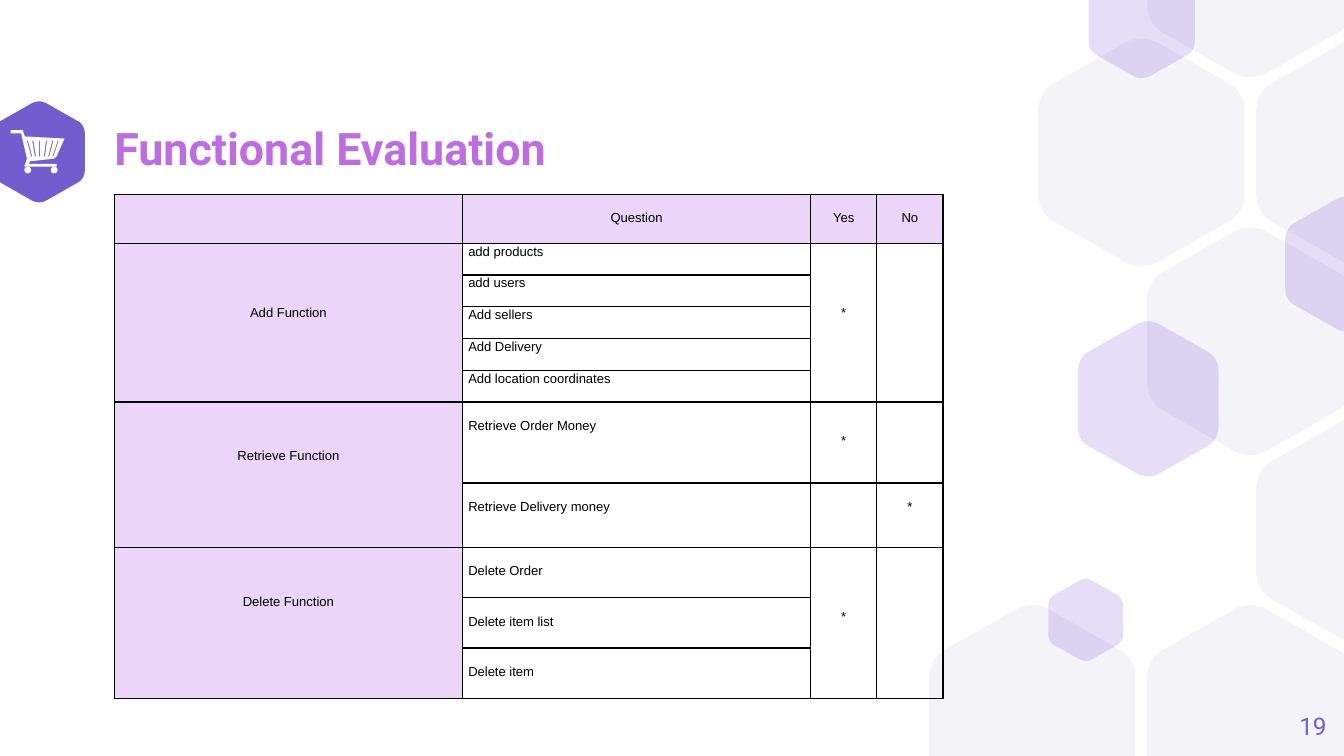
from lxml.etree import SubElement
from pptx import Presentation
from pptx.dml.color import RGBColor
from pptx.enum.shapes import MSO_SHAPE
from pptx.enum.text import MSO_ANCHOR, PP_ALIGN
from pptx.oxml.ns import qn
from pptx.util import Cm, Pt

SLIDE_WIDTH, SLIDE_HEIGHT = 25.4, 14.29
VIOLET, ORCHID, LILAC = "725DCF", "BD6DE0", "EBD6FA"
PALE, DEEP, WHITE, BLACK = "F4F3F8", "5322C9", "FFFFFF", "000000"

# Bezier corners of a rounded hexagon, in units of half its width and height
SIDE_CORNER = [(1, 0.35), (1, 0.46), (0.95, 0.56), (0.84, 0.61)]
TOP_CORNER = [(0.16, 0.96), (0.06, 1.01), (-0.06, 1.01), (-0.16, 0.96)]


def color(value):
    return RGBColor.from_string(value)


def curve(points, steps=8):
    """Points along a cubic Bezier curve."""
    result = []
    for step in range(steps + 1):
        t = step / steps
        weights = ((1 - t) ** 3, 3 * t * (1 - t) ** 2, 3 * t * t * (1 - t), t ** 3)
        result.append(tuple(sum(w * p[axis] for w, p in zip(weights, points))
                            for axis in (0, 1)))
    return result


def hexagon_outline():
    left_corner = [(-x, y) for x, y in reversed(SIDE_CORNER)]
    half = curve(SIDE_CORNER) + curve(TOP_CORNER) + curve(left_corner)
    return half + [(-x, -y) for x, y in half]


class SlideBuilder:
    line_height = 0.29
    cell_inset = 0.11

    def __init__(self, slide):
        self.slide = slide

    def paint(self, shape, fill, opacity=None):
        shape.shadow.inherit = False
        shape.fill.solid()
        shape.fill.fore_color.rgb = color(fill)
        shape.line.fill.background()
        if opacity:
            choice = shape.element.spPr.find(qn("a:solidFill"))[0]
            SubElement(choice, qn("a:alpha"), val=str(opacity * 1000))

    def outline(self, contours, fill, opacity=None):
        contours = [[(Cm(x), Cm(y)) for x, y in contour] for contour in contours]
        builder = self.slide.shapes.build_freeform(*contours[0][0])
        for index, contour in enumerate(contours):
            if index:
                builder.move_to(*contour[0])
            builder.add_line_segments(contour[1:], close=True)
        self.paint(builder.convert_to_shape(), fill, opacity)

    def hexagon(self, x, y, width, fill, opacity=None):
        half_width, half_height = width / 2, width * 1.105 / 2
        points = [(x + dx * half_width,
                   min(max(y + dy * half_height, 0), SLIDE_HEIGHT))
                  for dx, dy in hexagon_outline()]
        self.outline([points], fill, opacity)

    def dot(self, x, y, size):
        shape = self.slide.shapes.add_shape(MSO_SHAPE.OVAL, Cm(x), Cm(y), Cm(size), Cm(size))
        self.paint(shape, WHITE)

    def set_text(self, frame, text, font, size, text_color, align, bold=False, spacing=1.0):
        frame.text = text
        paragraph = frame.paragraphs[0]
        paragraph.alignment = align
        paragraph.line_spacing = spacing
        for run in paragraph.runs:
            run.font.name, run.font.size, run.font.bold = font, Pt(size), bold
            run.font.color.rgb = color(text_color)

    def label(self, shape, box, *style, **options):
        shape.left, shape.top, shape.width, shape.height = [Cm(v) for v in box]
        frame = shape.text_frame
        frame.word_wrap = True
        frame.vertical_anchor = MSO_ANCHOR.MIDDLE
        frame.margin_left = frame.margin_right = frame.margin_top = frame.margin_bottom = 0
        self.set_text(frame, *style, **options)

    def title(self, text, box):
        self.label(self.slide.shapes.title, box, text, "Roboto", 24, ORCHID,
                   PP_ALIGN.LEFT, bold=True, spacing=0.9)

    def page_number(self, text, box):
        shape = self.slide.shapes.add_textbox(0, 0, 0, 0)
        self.label(shape, box, text, "Roboto", 13, VIOLET, PP_ALIGN.RIGHT)

    def table(self, left, top, columns, rows):
        table = self.slide.shapes.add_table(
            len(rows), len(columns), Cm(left), Cm(top),
            Cm(sum(columns)), Cm(sum(rows))).table
        table.first_row = table.horz_banding = False
        for column, width in zip(table.columns, columns):
            column.width = Cm(width)
        for row, height in zip(table.rows, rows):
            row.height = Cm(height)
        for cell in table.iter_cells():
            self.empty_cell(cell)
        return table

    def empty_cell(self, cell):
        cell.margin_left = cell.margin_right = Cm(self.cell_inset)
        cell.margin_top = cell.margin_bottom = 0
        properties = cell._tc.get_or_add_tcPr()
        for side in ("lnL", "lnR", "lnT", "lnB"):
            line = SubElement(properties, qn("a:" + side), w=str(Pt(0.75)))
            SubElement(SubElement(line, qn("a:solidFill")), qn("a:srgbClr"), val=BLACK)
        cell.fill.background()
        SubElement(cell.text_frame.paragraphs[0]._p, qn("a:endParaRPr"), sz="700")

    def cell(self, cell, text, lines_down, align=PP_ALIGN.CENTER):
        cell.margin_top = Cm(self.line_height * lines_down)
        self.set_text(cell.text_frame, text, "Arial", 7, BLACK, align, spacing=1.07)

    def shade(self, cell):
        cell.fill.solid()
        cell.fill.fore_color.rgb = color(LILAC)


def main():
    presentation = Presentation()
    presentation.slide_width, presentation.slide_height = Cm(SLIDE_WIDTH), Cm(SLIDE_HEIGHT)
    slide = presentation.slides.add_slide(presentation.slide_layouts[5])
    builder = SlideBuilder(slide)

    # Honeycomb background: (half column, row) on a regular grid
    for column, row in [(0, 3), (2, 3), (3, 0), (2, -1), (2, 1), (1, 0), (3, 2)]:
        builder.hexagon(19.51 + 2.06 * column, 2.88 + 3.57 * row, 3.9, PALE)
    for x, y, width in [(25.45, 4.99, 2.32), (20.52, 11.72, 1.41),
                        (21.58, 0.37, 2.01), (21.7, 7.54, 2.66)]:
        builder.hexagon(x, y, width, DEEP, opacity=15)

    # Badge with shopping cart
    builder.hexagon(0.74, 2.87, 1.73, VIOLET)
    cart = [(0.2, 2.46), (0.43, 2.46), (0.47, 2.58), (1.22, 2.62), (1.07, 2.96),
            (1.02, 3), (0.57, 3.05), (0.54, 3.1), (1.07, 3.1), (1.07, 3.15),
            (0.46, 3.15), (0.51, 3), (0.4, 2.52), (0.2, 2.52)]
    slots = [(0.52, 0.6), (0.62, 0.67), (0.75, 0.75), (0.88, 0.84), (1, 0.92), (1.1, 1)]
    gaps = [[(upper - 0.01, 2.66), (upper + 0.01, 2.66),
             (lower + 0.01, 2.96), (lower - 0.01, 2.96)] for upper, lower in slots]
    builder.outline([cart] + gaps, WHITE)
    for x in (0.46, 0.96):
        builder.dot(x, 3.15, 0.13)

    # Title and page number
    builder.title("Functional Evaluation", (2.16, 2.31, 16.69, 1.09))
    builder.page_number("19", (23.55, 13.18, 1.52, 1.09))

    # Evaluation table
    table = builder.table(2.16, 3.68, [6.58, 6.58, 1.25, 1.25],
                          [0.92] + [0.6] * 5 + [1.53, 1.22] + [0.95] * 3)
    for column, heading in enumerate(["", "Question", "Yes", "No"]):
        builder.shade(table.cell(0, column))
        if heading:
            builder.cell(table.cell(0, column), heading, 1)

    # Each group: name, lines above the name, lines above a question, questions
    groups = [
        ("Add Function", 4, 0, ["add products", "add users", "Add sellers",
                                "Add Delivery", "Add location coordinates"]),
        ("Retrieve Function", 3, 1, ["Retrieve Order Money", "Retrieve Delivery money"]),
        ("Delete Function", 3, 1, ["Delete Order", "Delete item list", "Delete item"]),
    ]
    first = 1
    for name, name_lines, question_lines, questions in groups:
        last = first + len(questions) - 1
        merged = (0,) if name == "Retrieve Function" else (0, 2, 3)
        for column in merged:
            table.cell(first, column).merge(table.cell(last, column))
        for row in range(first, last + 1):
            builder.shade(table.cell(row, 0))
        builder.cell(table.cell(first, 0), name, name_lines)
        for row, question in enumerate(questions, first):
            builder.cell(table.cell(row, 1), question, question_lines, PP_ALIGN.LEFT)
        first = last + 1

    # Answers: row, column, lines above the mark
    for row, column, lines in [(1, 2, 4), (6, 2, 2), (7, 3, 1), (8, 2, 4)]:
        builder.cell(table.cell(row, column), "*", lines)

    presentation.save("out.pptx")


if __name__ == "__main__":
    main()
